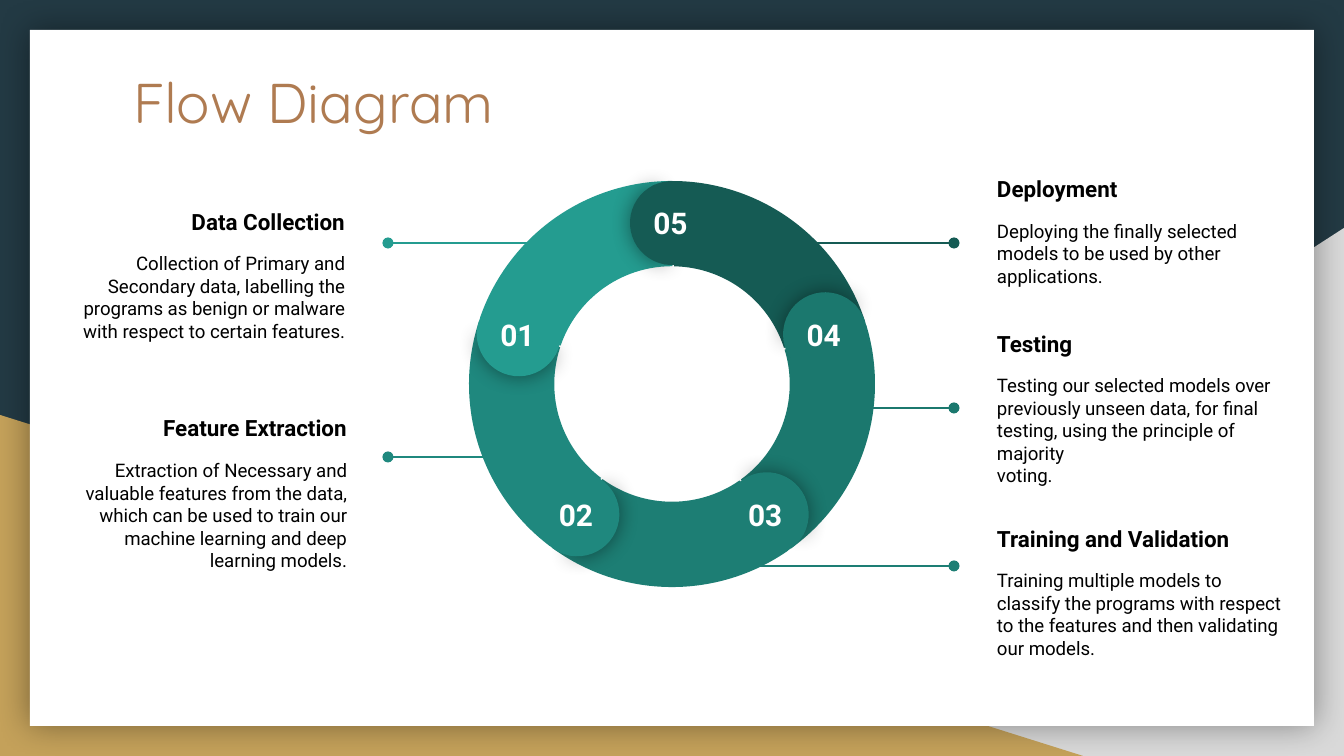
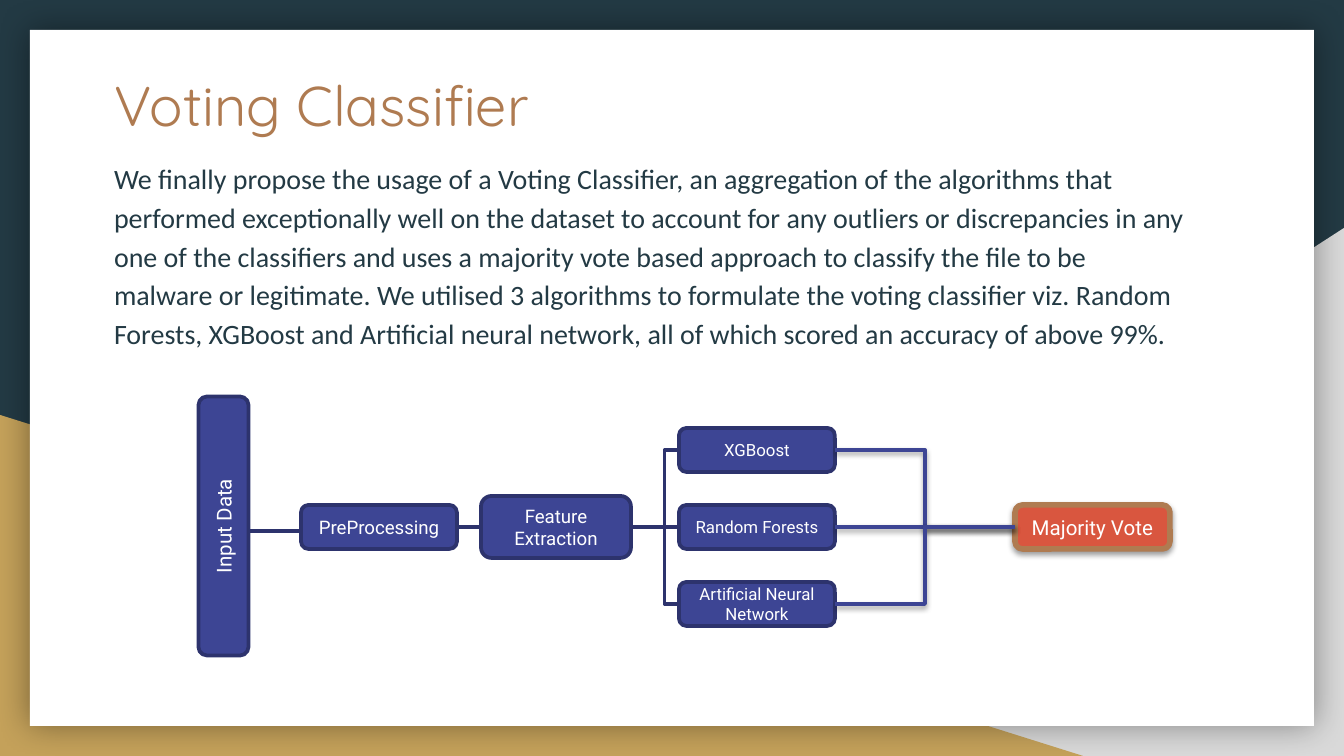
from copy import deepcopy
from dataclasses import dataclass
from math import cos, radians, sin

from lxml.etree import SubElement
from pptx import Presentation
from pptx.dml.color import RGBColor
from pptx.enum.shapes import MSO_CONNECTOR as LINE, MSO_SHAPE as SHAPE
from pptx.enum.text import MSO_ANCHOR as ANCHOR, PP_ALIGN as ALIGN
from pptx.oxml.ns import qn
from pptx.util import Emu, Pt

SCALE = 9144000 / 1344
INSET = 13


@dataclass(frozen=True)
class Theme:
    """Colours, type styles and shadows shared by the slides."""
    night: str = "233A44"
    silver: str = "D9D9D9"
    gold: str = "C4A15A"
    paper: str = "FFFFFF"
    ink: str = "000000"
    copper: str = "AF7B51"
    node: str = "3D4594"
    node_edge: str = "2D336D"
    vote: str = "D9563F"
    steps: tuple = ("249C90", "1F887E", "1D7E74", "1B786E", "155B54")
    title: tuple = ("Quicksand", 30, False)
    lead: tuple = ("Calibri", 15, False)
    heading: tuple = ("Roboto", 12, True)
    body: tuple = ("Roboto", 10, False)
    number: tuple = ("Roboto", 16, True)
    label_l: tuple = ("Roboto", 11, False)
    label_m: tuple = ("Roboto", 10, False)
    label_s: tuple = ("Roboto", 9, False)
    sheet_shadow: tuple = (40, 18, 0, 0)
    cap_shadow: tuple = (43, 11.2, 0, 0)
    flow_shadow: tuple = (38, 3.1, 1.6, 90)


T = Theme()

STEPS = [
    ("Data Collection",
     "Collection of Primary and Secondary data, labelling the programs as "
     "benign or malware with respect to certain features.",
     (46, 207, 312, 136), (569, 388, 243)),
    ("Feature Extraction",
     "Extraction of Necessary and valuable features from the data, which can "
     "be used to train our machine learning and deep learning models.",
     (48, 425, 312, 136), (526, 388, 457)),
    ("Training and Validation",
     "Training multiple models to classify the programs with respect to the "
     "features and then validating our models.",
     (984, 524, 313, 136), (684, 954, 566)),
    ("Testing",
     "Testing our selected models over previously unseen data, for final "
     "testing, using the principle of majority\vvoting.",
     (984, 340, 313, 136), (825, 954, 408)),
    ("Deployment",
     "Deploying the finally selected models to be used by other applications.",
     (984, 163, 313, 136), (766, 954, 243)),
]

PROPOSAL = (
    "We finally propose the usage of a Voting Classifier, an aggregation of "
    "the algorithms that performed exceptionally well on the dataset to "
    "account for any outliers or discrepancies in any one of the classifiers "
    "and uses a majority vote based approach to classify the file to be "
    "malware or legitimate. We utilised 3 algorithms to formulate the voting "
    "classifier viz. Random Forests, XGBoost and Artificial neural network, "
    "all of which scored an accuracy of above 99%.")


def px(*values):
    """Turn pixel lengths into EMU."""
    return [Emu(round(v * SCALE)) for v in values]


def rgb(value):
    """Return the colour object of a hex string."""
    return RGBColor.from_string(value)


def set_effect(sp, shadow=None):
    """Give a shape or connector its shadow, or an empty effect list."""
    effects = SubElement(sp._element.spPr, qn("a:effectLst"))
    if shadow:
        alpha, blur, dist, angle = shadow
        outer = SubElement(effects, qn("a:outerShdw"), blurRad=str(Pt(blur)),
                           dist=str(Pt(dist)), dir=str(angle * 60000),
                           algn="bl", rotWithShape="0")
        clr = SubElement(outer, qn("a:srgbClr"), val=T.ink)
        SubElement(clr, qn("a:alpha"), val=str(alpha * 1000))


def add_shape(shapes, kind, box, fill, edge=None, adj=(), rot=0, shadow=None):
    """Add a filled preset shape; edge is a colour and a width in points."""
    sp = shapes.add_shape(kind, *px(*box))
    set_effect(sp, shadow)
    sp.fill.solid()
    sp.fill.fore_color.rgb = rgb(fill)
    sp.rotation = rot
    for i, value in enumerate(adj):
        sp.adjustments[i] = value
    if edge:
        sp.line.color.rgb = rgb(edge[0])
        sp.line.width = Pt(edge[1])
    else:
        sp.line.fill.background()
    return sp


def write(sp, paras, align=ALIGN.LEFT, anchor=ANCHOR.TOP, **para_format):
    """Fill a shape with (text, style, colour) paragraphs."""
    tf = sp.text_frame
    inset = px(INSET)[0]
    frame = dict(word_wrap=True, vertical_anchor=anchor, margin_left=inset,
                 margin_top=inset, margin_right=inset, margin_bottom=inset)
    for key, value in frame.items():
        setattr(tf, key, value)
    for i, (text, (name, size, bold), colour) in enumerate(paras):
        p = tf.add_paragraph() if i else tf.paragraphs[0]
        p.text = text
        p.alignment = align
        if i:
            for key, value in para_format.items():
                setattr(p, key, value)
        for r in p.runs:
            for key, value in dict(name=name, size=Pt(size), bold=bold).items():
                setattr(r.font, key, value)
            r.font.color.rgb = rgb(colour)
        for br in p._p.findall(qn("a:br")):
            br.append(deepcopy(p.runs[0]._r.rPr))
    return tf


def add_text(shapes, box, paras, **options):
    """Add a text box holding the paragraphs."""
    return write(shapes.add_textbox(*px(*box)), paras, **options)


def add_line(shapes, kind, start, end, colour, width, shadow=None):
    """Add a connector between two points."""
    cxn = shapes.add_connector(kind, *px(*start, *end))
    set_effect(cxn, shadow)
    cxn.line.color.rgb = rgb(colour)
    cxn.line.width = Pt(width)
    return cxn


def base_slide(prs, title, box):
    """Add a slide with the backdrop, the white sheet and a title."""
    slide = prs.slides.add_slide(prs.slide_layouts[6])
    slide.background.fill.solid()
    slide.background.fill.fore_color.rgb = rgb(T.night)
    shapes = slide.shapes
    right = add_shape(shapes, SHAPE.RIGHT_TRIANGLE, (527, 228, 817, 528), T.silver)
    right._element.spPr.find(qn("a:xfrm")).set("flipH", "1")
    add_shape(shapes, SHAPE.RIGHT_TRIANGLE, (0, 415, 1083, 341), T.gold)
    add_shape(shapes, SHAPE.RECTANGLE, (30, 30, 1284, 696), T.paper,
              shadow=T.sheet_shadow)
    add_text(shapes, box, [(title, T.title, T.copper)])
    return slide


def callout(slide, box, heading, text, leader, colour):
    """Add a dotted leader line and the text block of one step."""
    shapes = slide.shapes.add_group_shape().shapes
    start, end, y = leader
    cxn = add_line(shapes, LINE.STRAIGHT, (start, y), (end, y), colour, 0.75)
    SubElement(cxn._element.spPr.find(qn("a:ln")), qn("a:tailEnd"), type="oval")
    add_text(shapes, box, [(heading, T.heading, T.ink), (text, T.body, T.ink)],
             align=ALIGN.RIGHT if end < start else ALIGN.LEFT,
             anchor=ANCHOR.MIDDLE, space_before=Pt(9.4))


def ring(slide, box):
    """Draw the five-part ring with overlapping round caps and numbers."""
    shapes = slide.shapes.add_group_shape().shapes
    x, y, size, _ = box
    cap = 84
    radius = (size - cap) / 2
    angles = [(270 - 72 * n) % 360 for n in range(1, 6)]
    for angle, colour in zip(angles, T.steps):
        add_shape(shapes, SHAPE.BLOCK_ARC, box, colour,
                  adj=(126.03, 168.68, 0.21), rot=(angle + 151) % 360)
    spots = [(x + radius * (1 + cos(radians(a))), y + radius * (1 + sin(radians(a))))
             for a in angles]
    for (left, top), angle, colour in zip(spots, angles, T.steps):
        for adj, turn, shadow in (((61.9, 149.96), 86, T.cap_shadow),
                                  ((40.28, 171.84), -95, None)):
            add_shape(shapes, SHAPE.PIE, (left, top, cap, cap), colour, adj=adj,
                      rot=(angle + turn) % 360, shadow=shadow)
    for n, (left, top) in enumerate(spots, 1):
        add_text(shapes, (left + 3, top + 11, 75, 39),
                 [(f"{n:02}", T.number, T.paper)], align=ALIGN.CENTER)


def add_node(slide, box, text, style, fill=T.node, edge=(T.node_edge, 2), **options):
    """Add a rounded, labelled box of the flow chart."""
    sp = add_shape(slide.shapes, SHAPE.ROUNDED_RECTANGLE, box, fill, edge,
                   adj=(0.17,), **options)
    write(sp, [(text, style, T.paper)], align=ALIGN.CENTER, anchor=ANCHOR.MIDDLE)
    return sp


def link(slide, a, b, colour, bend=0.5, shadow=None):
    """Join the right side of a to the left side of b."""
    start = (a.left + a.width, a.top + a.height // 2)
    end = (b.left, b.top + b.height // 2)
    level = abs(start[1] - end[1]) < SCALE
    points = [[v / SCALE for v in point] for point in (start, end)]
    cxn = add_line(slide.shapes, LINE.STRAIGHT if level else LINE.ELBOW,
                   *points, colour, 2, shadow)
    if level:
        cxn.begin_connect(a, 3)
        cxn.end_connect(b, 1)
    else:
        guides = cxn._element.spPr.find(qn("a:prstGeom")).find(qn("a:avLst"))
        SubElement(guides, qn("a:gd"), name="adj1", fmla=f"val {round(bend * 100000)}")


def voting_flow(slide, box):
    """Draw the flow from input data to the majority vote."""
    x, y, _, h = box
    mid = y + h // 2
    add_line(slide.shapes, LINE.ELBOW, (x + 36, mid + 4), (x + 283, mid),
             T.node_edge, 2)
    add_node(slide, (x - 104, mid - 26, 259, 50), "Input Data", T.label_l, rot=270)
    feature = add_node(slide, (x + 283, mid - 31, 150, 62), "Feature Extraction",
                       T.label_m)
    add_node(slide, (x + 103, mid - 22, 156, 44), "PreProcessing", T.label_m)
    vote = add_node(slide, (x + 817, mid - 22, 155, 44), "Majority Vote", T.label_l,
                    fill=T.vote, edge=(T.copper, 3), shadow=T.flow_shadow)
    names = ("XGBoost", "Random Forests", "Artificial Neural Network")
    for row, name in enumerate(names, -1):
        model = add_node(slide, (x + 481, mid - 22 + 77 * row, 156, 44), name,
                         T.label_s)
        link(slide, feature, model, T.node_edge, bend=0.7)
        link(slide, model, vote, T.node, shadow=T.flow_shadow)


def flow_diagram(prs):
    """Build the slide with the numbered ring."""
    slide = base_slide(prs, "Flow Diagram", (120, 55, 1103, 140))
    for (heading, text, box, leader), colour in zip(STEPS, T.steps):
        callout(slide, box, heading, text, leader, colour)
    ring(slide, (469, 181, 406, 406))


def voting_classifier(prs):
    """Build the slide with the proposal and its flow chart."""
    slide = base_slide(prs, "Voting Classifier", (101, 58, 1103, 140))
    tf = add_text(slide.shapes, (101, 144, 1103, 216),
                  [(PROPOSAL, T.lead, T.night)])
    tf.paragraphs[0].line_spacing = 1.15
    voting_flow(slide, (198, 396, 974, 262))


def main():
    """Build and save the presentation."""
    prs = Presentation()
    prs.slide_width, prs.slide_height = px(1344, 756)
    flow_diagram(prs)
    voting_classifier(prs)
    prs.save("out.pptx")


if __name__ == "__main__":
    main()
